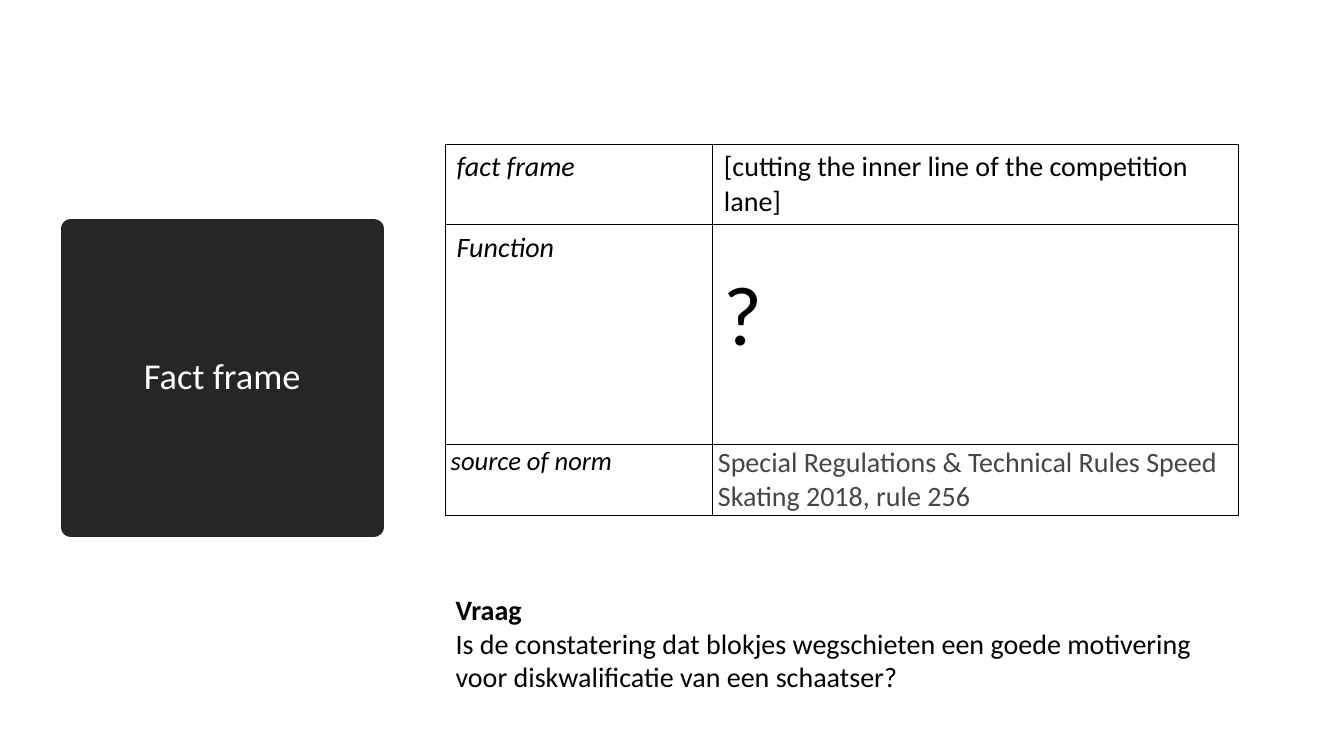
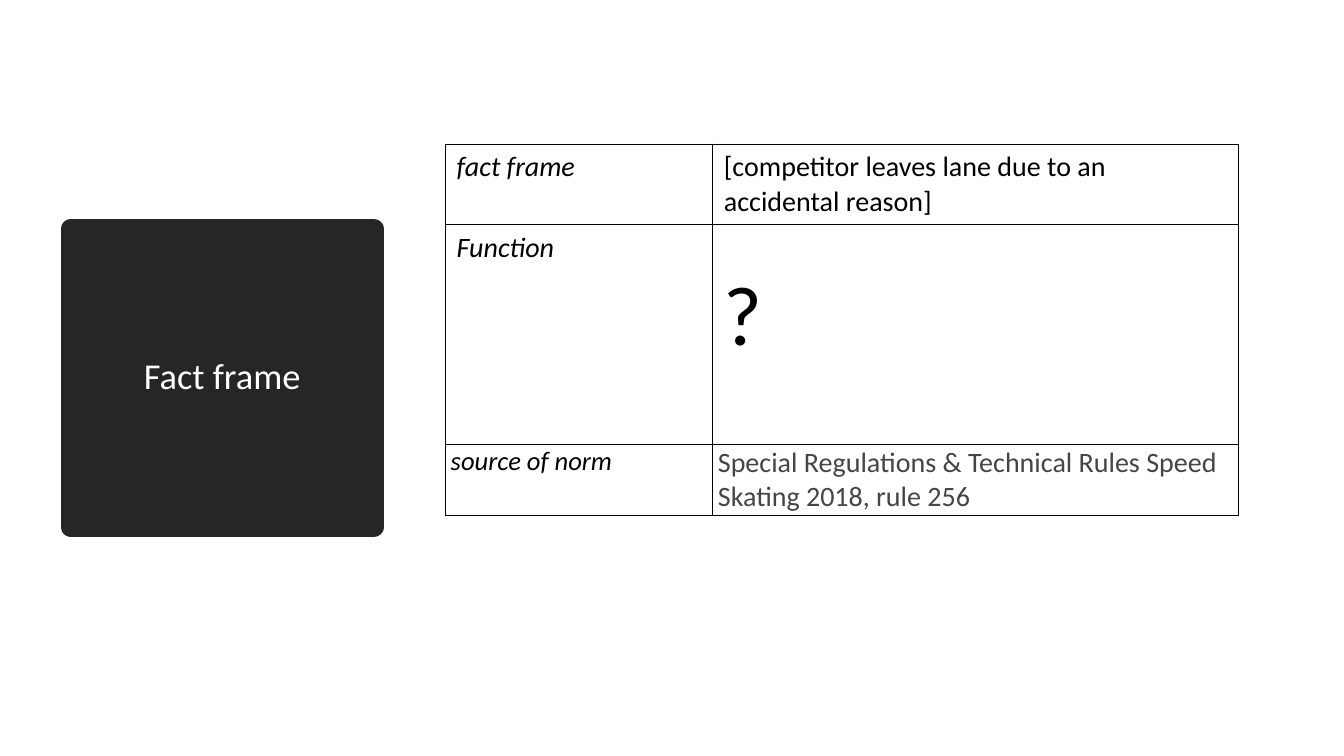
from lxml import etree
from pptx import Presentation
from pptx.dml.color import RGBColor
from pptx.enum import text as t
from pptx.oxml import ns
from pptx.util import Inches, Pt

HUES = {"ink": "000000", "disc": "262626", "paper": "FFFFFF", "grey": "454545"}
FACE = "Calibri"
SOURCE = "Special Regulations & Technical Rules Speed Skating 2018, rule 256"
FACTS = [
    "[cutting the inner line of the competition lane]",
    "[competitor leaves lane due to an accidental reason]",
]
QUERY = ("Is de constatering dat blokjes wegschieten een goede motivering "
         "voor diskwalificatie van een schaatser?")


def hue(name):
    """Return the named colour."""
    return RGBColor.from_string(HUES[name])


def write(para, words, size=20, color="ink", bold=False, italic=False):
    """Put formatted words in a paragraph."""
    run = para.add_run()
    run.text = words
    font = run.font
    font.name, font.size = FACE, Pt(size)
    font.bold, font.italic = bold, italic
    font.color.rgb = hue(color)


def add_disc(slide, words):
    """Shape the title placeholder as a dark disc."""
    disc = slide.shapes.title
    disc.left, disc.top = Inches(0.7), Inches(2.27)
    disc.width, disc.height = Inches(3.01), Inches(2.96)
    geom = etree.SubElement(disc.element.spPr, ns.qn("a:prstGeom"), prst="ellipse")
    etree.SubElement(geom, ns.qn("a:avLst"))
    disc.fill.solid()
    disc.fill.fore_color.rgb = hue("disc")
    disc.line.color.rgb = hue("disc")
    disc.line.width = Pt(13.75)
    frame = disc.text_frame
    frame.word_wrap = True
    frame.auto_size = t.MSO_AUTO_SIZE.NONE
    frame.vertical_anchor = t.MSO_ANCHOR.MIDDLE
    para = frame.paragraphs[0]
    para.alignment = t.PP_ALIGN.CENTER
    para.line_spacing, para.space_after = 0.9, Pt(6)
    write(para, words, size=26, color="paper")


def rule_cell(cell):
    """Give a cell thin borders and no fill."""
    props = cell._tc.get_or_add_tcPr()
    for side in ("lnL", "lnR", "lnT", "lnB"):
        line = etree.SubElement(props, ns.qn(f"a:{side}"), w=str(Pt(1)))
        fill = etree.SubElement(line, ns.qn("a:solidFill"))
        etree.SubElement(fill, ns.qn("a:srgbClr"), val=HUES["ink"])
    cell.fill.background()


def fill_cell(cell, words, side=0.11, top=0.06, foot=0.06, **style):
    """Write words in a ruled cell with the given margins."""
    rule_cell(cell)
    cell.margin_left = cell.margin_right = Inches(side)
    cell.margin_top, cell.margin_bottom = Inches(top), Inches(foot)
    write(cell.text_frame.paragraphs[0], words, **style)


def add_frame(slide, fact):
    """Add the table that describes one fact frame."""
    wides, highs = (2.65, 5.21), (0.8, 2.18, 0.7)
    table = slide.shapes.add_table(
        len(highs), len(wides), Inches(4.42), Inches(1.43),
        Inches(sum(wides)), Inches(sum(highs))).table
    table.first_row = table.horz_banding = False
    for col, wide in zip(table.columns, wides):
        col.width = Inches(wide)
    for row, high in zip(table.rows, highs):
        row.height = Inches(high)
    tight = {"side": 0.05, "top": 0.01, "foot": 0.01}
    rows = [
        ("fact frame", {}, fact, {}),
        ("Function", {}, "?", {"size": 60, "top": 0.4}),
        ("source of norm", {"size": 19, **tight}, SOURCE, {"color": "grey", **tight}),
    ]
    for num, (label, left, value, right) in enumerate(rows):
        fill_cell(table.cell(num, 0), label, italic=True, **left)
        fill_cell(table.cell(num, 1), value, **right)


def add_query(slide, head, words):
    """Add a question below the table."""
    box = slide.shapes.add_textbox(Inches(4.42), Inches(5.83), Inches(8.04), Inches(1.11))
    frame = box.text_frame
    frame.word_wrap = True
    frame.auto_size = t.MSO_AUTO_SIZE.SHAPE_TO_FIT_TEXT
    write(frame.paragraphs[0], head, bold=True)
    write(frame.add_paragraph(), words)


def main():
    """Build and save the deck."""
    deck = Presentation()
    deck.slide_width, deck.slide_height = Inches(13.33), Inches(7.5)
    slides = []
    for fact in FACTS:
        slide = deck.slides.add_slide(deck.slide_layouts.get_by_name("Title Only"))
        add_disc(slide, "Fact frame")
        add_frame(slide, fact)
        slides.append(slide)
    add_query(slides[0], "Vraag", QUERY)
    deck.save("out.pptx")


if __name__ == "__main__":
    main()
